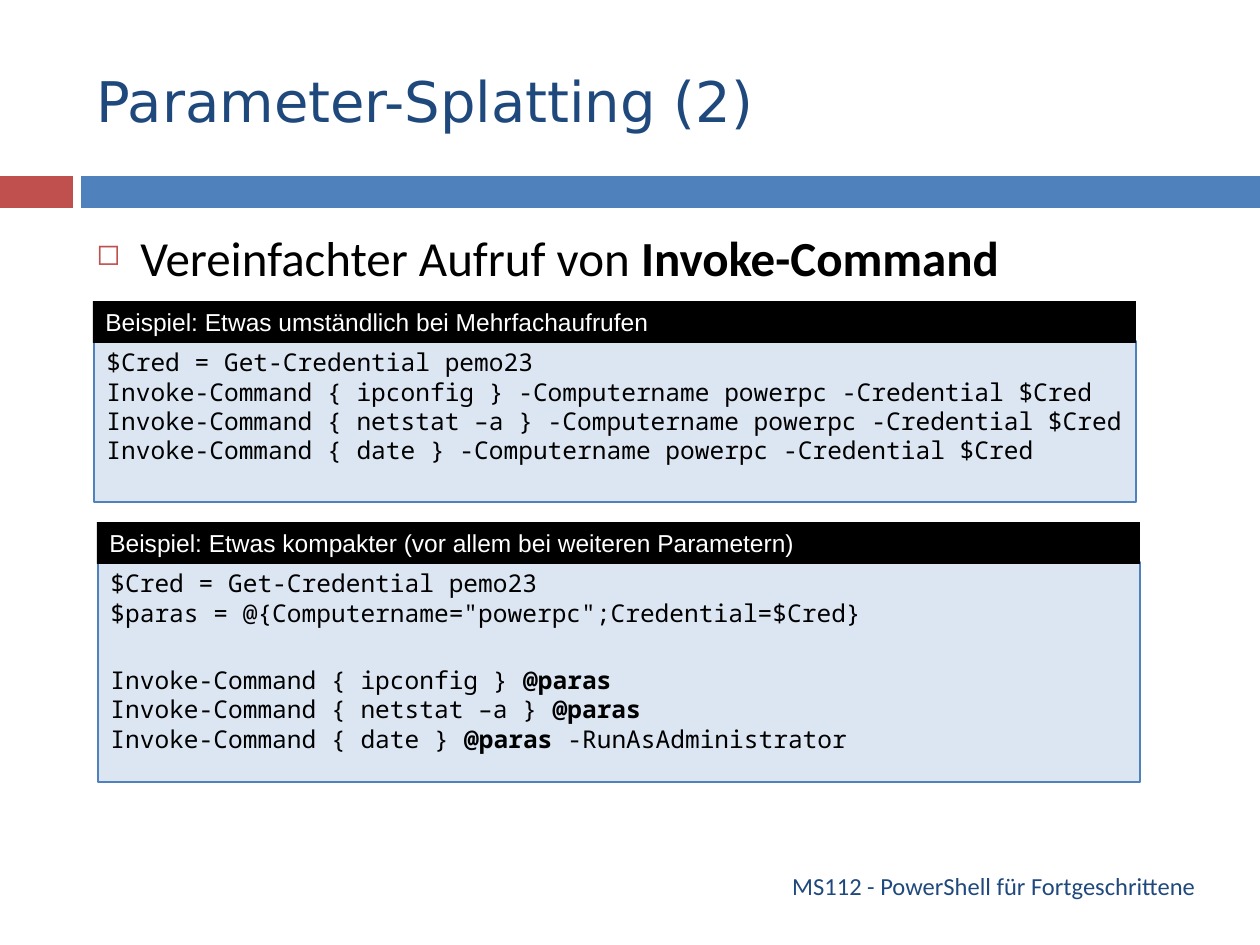
from lxml.etree import SubElement
from pptx import Presentation
from pptx.dml.color import RGBColor
from pptx.enum.shapes import MSO_SHAPE as Shape
from pptx.enum.text import MSO_ANCHOR as Anchor, MSO_AUTO_SIZE as AutoSize, PP_ALIGN as Align
from pptx.oxml.ns import qn
from pptx.util import Emu, Pt

SCALE = 914400 / 126
NAVY, BLUE, PALE, RED = "1F497D", "4F81BD", "DCE6F2", "C0504D"
BLACK, WHITE = "000000", "FFFFFF"
SANS, BODY, CODE, LABEL = "DejaVu Sans", "Calibri", "Noto Sans Mono", "Arial"


def px(length):
    """Turn pixels into EMU."""
    return Emu(round(length * SCALE))


def color(value):
    """Turn a hex string into a colour."""
    return RGBColor.from_string(value)


class SlideBuilder:
    """Holds the style and the current slide."""

    def __init__(self, deck):
        """Add a title-only slide to the deck."""
        self.page = deck.slides.add_slide(deck.slide_layouts[5])

    def fill_text(self, box, paragraphs, font, size, ink, anchor=Anchor.TOP, align=Align.LEFT):
        """Fill a box; every second span of a paragraph is bold."""
        frame = box.text_frame
        frame.word_wrap = True
        frame.auto_size = AutoSize.NONE
        frame.vertical_anchor = anchor
        for index, spans in enumerate(paragraphs):
            para = frame.add_paragraph() if index else frame.paragraphs[0]
            para.alignment = align
            for position, text in enumerate(spans):
                if text.startswith("\n"):
                    para.add_line_break()
                span = para.add_run()
                span.text = text.lstrip("\n")
                span.font.name = font
                span.font.size = Pt(size)
                span.font.bold = position % 2 == 1
                span.font.color.rgb = color(ink)
        return frame

    def title(self, text, left, top, width, height):
        """Place and format the title placeholder."""
        box = self.page.shapes.title
        box.left, box.top, box.width, box.height = map(px, (left, top, width, height))
        self.fill_text(box, [[text]], SANS, 32, NAVY, Anchor.MIDDLE)

    def rect(self, left, top, width, height, fill, line=None):
        """Add a filled rectangle."""
        box = self.page.shapes.add_shape(Shape.RECTANGLE, *map(px, (left, top, width, height)))
        box.shadow.inherit = False
        box.fill.solid()
        box.fill.fore_color.rgb = color(fill)
        if line:
            box.line.color.rgb = color(line)
            box.line.width = Pt(1.5)
        else:
            box.line.fill.background()
        return box

    def text(self, spans, left, top, width, height, size, ink, **layout):
        """Add a text box with one paragraph."""
        box = self.page.shapes.add_textbox(*map(px, (left, top, width, height)))
        return self.fill_text(box, [spans], BODY, size, ink, **layout)

    def bullet(self, spans, left, top, width, height):
        """Add a text box with one bulleted paragraph."""
        frame = self.text(spans, left, top, width, height, 28, BLACK)
        props = frame.paragraphs[0]._p.get_or_add_pPr()
        props.set("marL", str(px(44)))
        props.set("indent", str(-px(44)))
        SubElement(SubElement(props, qn("a:buClr")), qn("a:srgbClr"), val=RED)
        SubElement(props, qn("a:buSzPct"), val="60000")
        SubElement(props, qn("a:buChar"), char="◻")

    def example(self, heading, lines, left, top, height):
        """Add a code panel with a black heading bar on its upper edge."""
        panel = self.rect(left + 1, top + 40, 1042, height, PALE, BLUE)
        self.fill_text(panel, lines, CODE, 14, BLACK)
        bar = self.rect(left, top, 1043, 42, BLACK)
        self.fill_text(bar, [[heading]], LABEL, 14, WHITE, Anchor.MIDDLE)


def main():
    """Build and save the slide."""
    deck = Presentation()
    deck.slide_width, deck.slide_height = px(1260), px(945)
    slide = SlideBuilder(deck)
    slide.rect(0, 176, 73, 32, RED)
    slide.rect(81, 176, 1179, 32, BLUE)
    slide.title("Parameter-Splatting (2)", 84, 32, 1124, 136)
    slide.text(["MS112 - PowerShell für Fortgeschrittene"], 84, 861, 1124, 50, 14, NAVY,
               anchor=Anchor.MIDDLE, align=Align.RIGHT)
    slide.bullet(["Vereinfachter Aufruf von ", "Invoke-Command"], 84, 221, 1124, 620)
    slide.example("Beispiel: Etwas umständlich bei Mehrfachaufrufen", [
        ["$Cred = Get-Credential pemo23"],
        ["Invoke-Command { ipconfig } -Computername powerpc -Credential $Cred"],
        ["Invoke-Command { netstat –a } -Computername powerpc -Credential $Cred"],
        ["Invoke-Command { date } -Computername powerpc -Credential $Cred"],
    ], 93, 301, 161)
    slide.example("Beispiel: Etwas kompakter (vor allem bei weiteren Parametern)", [
        ["$Cred = Get-Credential pemo23"],
        ['$paras = @{Computername="powerpc";Credential=$Cred}'],
        ["\nInvoke-Command { ipconfig } ", "@paras"],
        ["Invoke-Command { netstat –a } ", "@paras"],
        ["Invoke-Command { date } ", "@paras ", "-RunAsAdministrator"],
    ], 97, 522, 220)
    deck.save("out.pptx")


if __name__ == "__main__":
    main()
